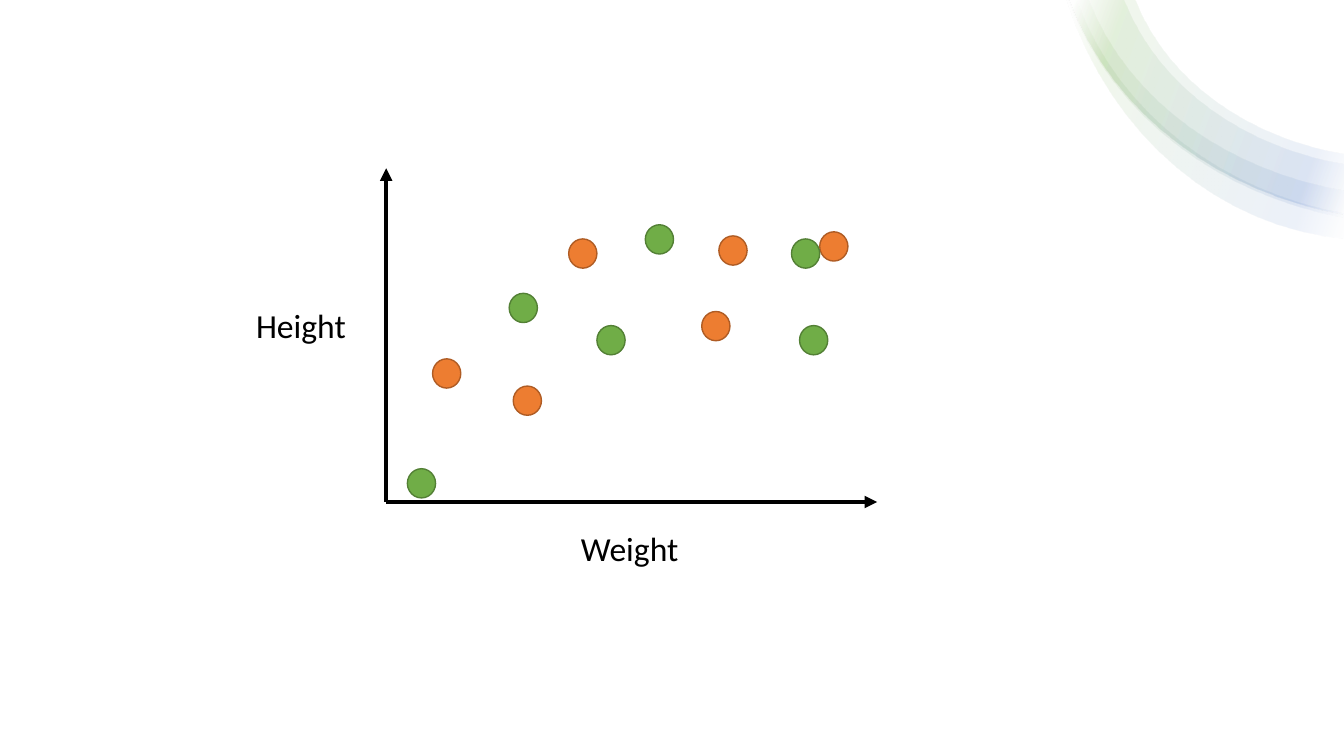
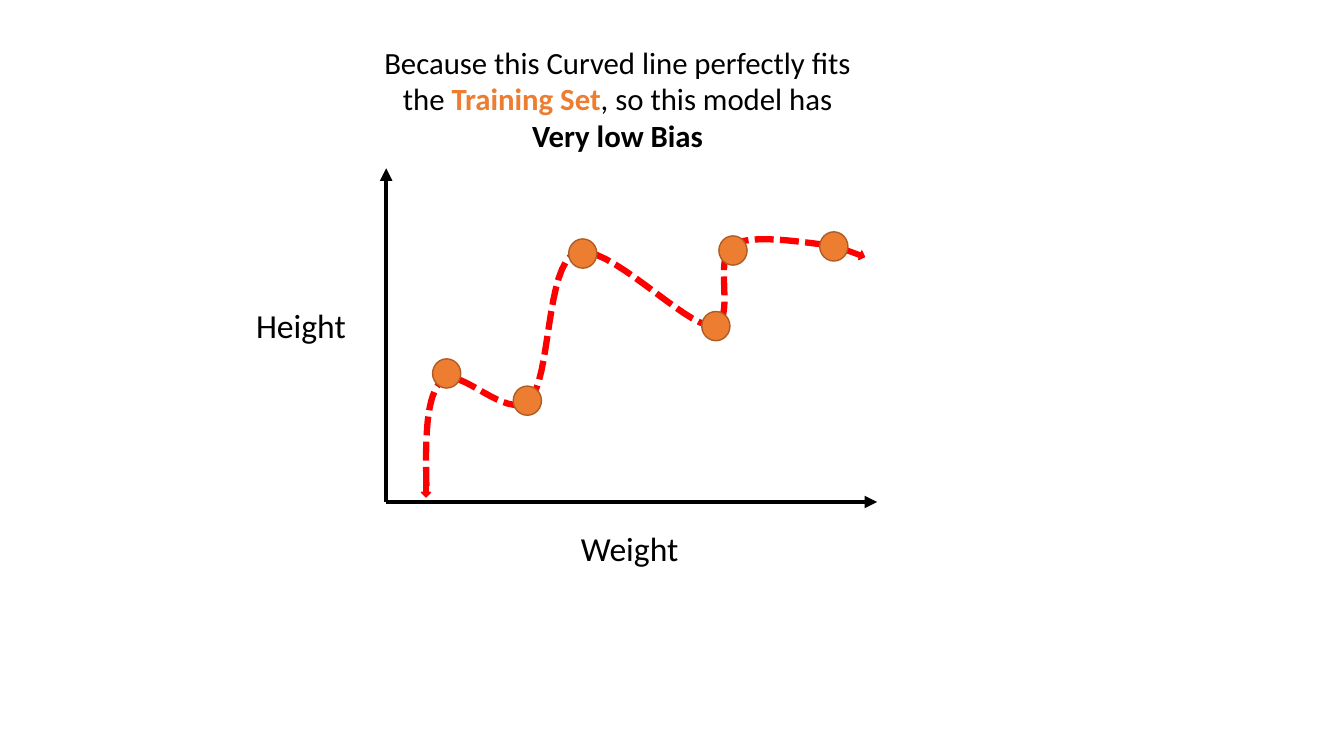
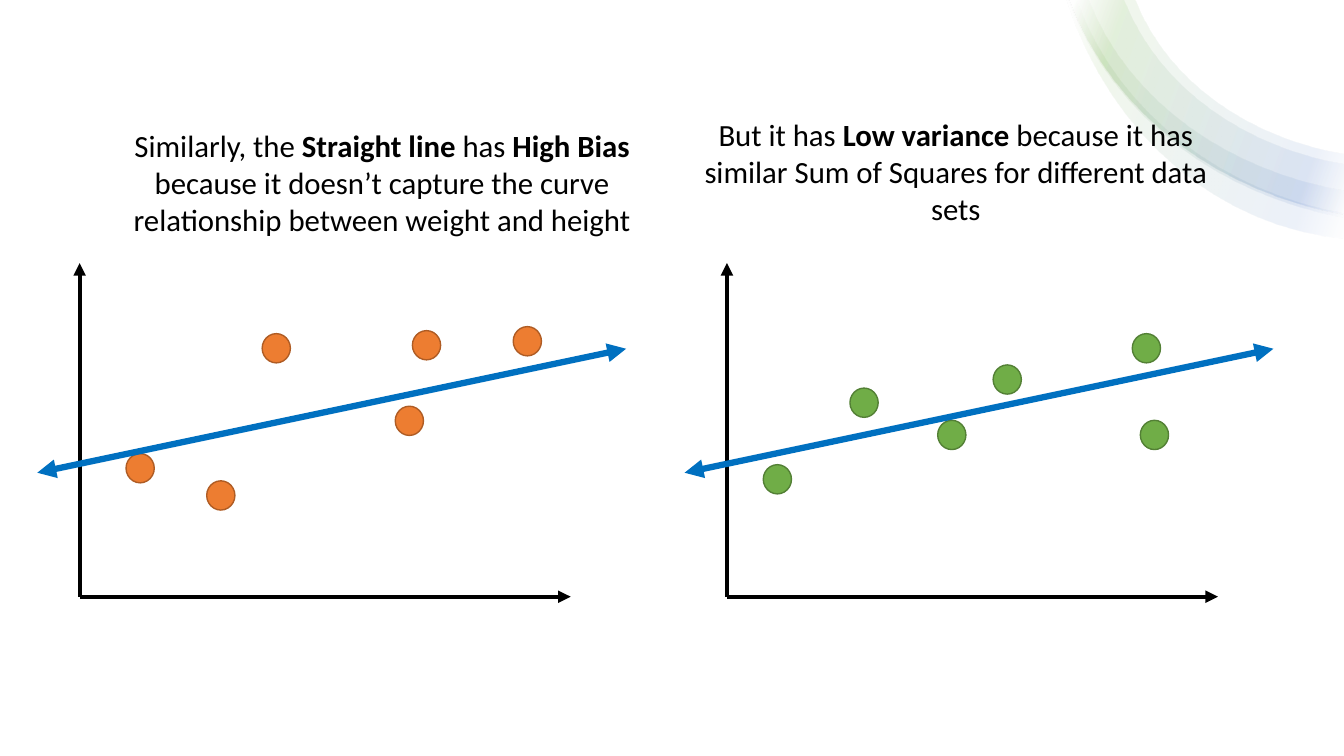
"""Three slides on bias and variance: all data, a curved fit, and a straight fit."""
from lxml import etree
from pptx import Presentation
from pptx import util as u
from pptx.dml.color import RGBColor
from pptx.enum import dml, shapes, text
from pptx.oxml.ns import qn

PX = 9144
WIDE, HIGH = 1333, 750


class Theme:
    font = "Calibri"
    label, note = 24, 22
    thin, axis, bold = 1, 3, 4.5
    black = RGBColor.from_string("000000")
    red = RGBColor.from_string("FF0000")
    blue = RGBColor.from_string("0070C0")
    rim = RGBColor.from_string("AF5C24")
    orange = RGBColor.from_string("ED7D31")
    green = RGBColor.from_string("70AD47")
    edge = RGBColor.from_string("538035")
    fade = [(2, "FFFFFF"), (16, "70AD47"), (85, "4472C4"), (100, "FFFFFF")]
    alpha = 10
    slant = 340


def trace(group, hulls, close):
    """Draw an outline of cubic curves, each given by four points."""
    pts = []
    for hull in hulls:
        for i in range(17):
            t = i / 16
            mix = ((1 - t) ** 3, 3 * t * (1 - t) ** 2, 3 * t * t * (1 - t), t ** 3)
            pts.append(tuple(PX * sum(m * p[k] for m, p in zip(mix, hull)) for k in (0, 1)))
    pen = group.shapes.build_freeform(*pts[0], scale=1.0)
    pen.add_line_segments(pts[1:], close=close)
    form = pen.convert_to_shape()
    form.shadow.inherit = False
    return form


def write(slide, box, size, runs):
    """Add a centred text box made of (text, bold, colour) runs."""
    frame = slide.shapes.add_textbox(*[n * PX for n in box]).text_frame
    frame.word_wrap = True
    frame.auto_size = text.MSO_AUTO_SIZE.SHAPE_TO_FIT_TEXT
    para = frame.paragraphs[0]
    para.alignment = text.PP_ALIGN.CENTER
    for words, bold, tint in runs:
        run = para.add_run()
        run.text = words
        run.font.name, run.font.size = Theme.font, u.Pt(size)
        run.font.bold, run.font.color.rgb = bold, tint


bands = []
for rims in [((1058, 237, 1.06), (1068, 212, 1)), ((1061, 213, 1), (1126, 153, 1)),
             ((1060, 216, 1), (1080, 189, 1)), ((1061, 213, 1), (1115, 163, 1))]:
    outer, inner = [
        [(x, 0), (x + 0.16 * (WIDE - x), 0.55 * y * bulge),
         (x + 0.56 * (WIDE - x), 0.9 * y * bulge), (WIDE, y)]
        for x, y, bulge in rims]
    bands.append([outer, inner[::-1]])

knots = [(445, 647), (423, 482), (439, 377), (525, 397), (571, 251),
         (706, 323), (727, 243), (831, 244), (831, 244)]
curve = []
for prev, start, end, after in zip(knots, knots[1:], knots[2:], knots[3:]):
    curve.append([start, [s + (e - p) / 6 for p, s, e in zip(prev, start, end)],
                  [e - (a - s) / 6 for s, e, a in zip(start, end, after)], end])
tips = [(418, 479, 9, 14, 0), (844, 242, 9, 19, 290.2)]

train = [(126, -115), (46, -142), (181, -261), (330, -264), (313, -189), (430, -268)]
both = [(122, -207), (209, -175), (402, -261), (410, -175)]
warm = (train, Theme.orange, Theme.rim)
full = (both + [(257, -275), (21, -33)], Theme.green, Theme.edge)
test = (both + [(36, -131), (264, -230)], Theme.green, Theme.edge)
axes = [(0, 0, 0, -331), (0, 0, 487, 0)]
trend = (-42, -123, 542, -246)

ink = Theme.black
names = [((523, 519, 203, 50), Theme.label, [("Weight", False, ink)]),
         ((197, 298, 203, 50), Theme.label, [("Height", False, ink)])]
fit = ((366, 38, 493, 121), Theme.note, [
    ("Because this Curved line perfectly fits the ", False, ink),
    ("Training Set", True, Theme.orange),
    (", so this model has ", False, ink),
    ("Very low Bias", True, ink)])
bias = ((111, 121, 536, 121), Theme.note, [
    ("Similarly, the ", False, ink), ("Straight line ", True, ink),
    ("has ", False, ink), ("High Bias ", True, ink),
    ("because it doesn’t capture the curve relationship between weight and height",
     False, ink)])
spread = ((680, 110, 536, 121), Theme.note, [
    ("But it has ", False, ink), ("Low variance ", True, ink),
    ("because it has similar Sum of Squares for different data sets", False, ink)])

pages = [
    (True, names, [(383, 498, [warm, full], None)]),
    (False, names + [fit], [(383, 498, [warm], "curve")]),
    (True, [bias, spread], [(79, 592, [warm], "line"), (721, 592, [test], "line")]),
]

deck = Presentation()
deck.slide_width, deck.slide_height = WIDE * PX, HIGH * PX

for swirl, notes, plots in pages:
    slide = deck.slides.add_slide(deck.slide_layouts[6])
    if swirl:
        group = slide.shapes.add_group_shape()
        for band in bands:
            form = trace(group, band, True)
            form.line.fill.background()
            form.fill.gradient()
            form.fill.gradient_angle = Theme.slant
            stops = form.element.spPr.find(".//" + qn("a:gsLst"))
            stops.clear()
            for place, tint in Theme.fade:
                stop = etree.SubElement(stops, qn("a:gs"), pos=str(place * 1000))
                shade = etree.SubElement(stop, qn("a:srgbClr"), val=tint)
                etree.SubElement(shade, qn("a:alpha"), val=str(Theme.alpha * 1000))

    for box, size, runs in notes:
        write(slide, box, size, runs)

    for left, base, sets, model in plots:
        group = slide.shapes.add_group_shape()
        marks = [(shapes.MSO_SHAPE.FLOWCHART_CONNECTOR, left + x, base + y, 28, 29, 0, fill, rim)
                 for spots, fill, rim in sets for x, y in spots]
        lines = [(ends, Theme.black, Theme.axis, ["tailEnd"]) for ends in axes]
        if model == "curve":
            form = trace(group, curve, False)
            form.fill.background()
            form.line.color.rgb, form.line.width = Theme.red, u.Pt(Theme.bold)
            form.line.dash_style = dml.MSO_LINE.SQUARE_DOT
            marks = [(shapes.MSO_SHAPE.DOWN_ARROW, *tip, Theme.red, Theme.red)
                     for tip in tips] + marks
        if model == "line":
            lines.append((trend, Theme.blue, Theme.bold, ["headEnd", "tailEnd"]))

        for kind, x, y, w, h, turn, fill, rim in marks:
            mark = group.shapes.add_shape(kind, x * PX, y * PX, w * PX, h * PX)
            mark.rotation = turn
            mark.shadow.inherit = False
            mark.fill.solid()
            mark.fill.fore_color.rgb = fill
            mark.line.color.rgb, mark.line.width = rim, u.Pt(Theme.thin)

        for (x, y, right, low), tint, width, heads in lines:
            line = group.shapes.add_connector(
                shapes.MSO_CONNECTOR.STRAIGHT, (left + x) * PX, (base + y) * PX,
                (left + right) * PX, (base + low) * PX)
            line.line.color.rgb, line.line.width = tint, u.Pt(width)
            props = line.element.spPr
            for head in heads:
                etree.SubElement(props.find(qn("a:ln")), qn("a:" + head), type="triangle")
            etree.SubElement(props, qn("a:effectLst"))

deck.save("out.pptx")
